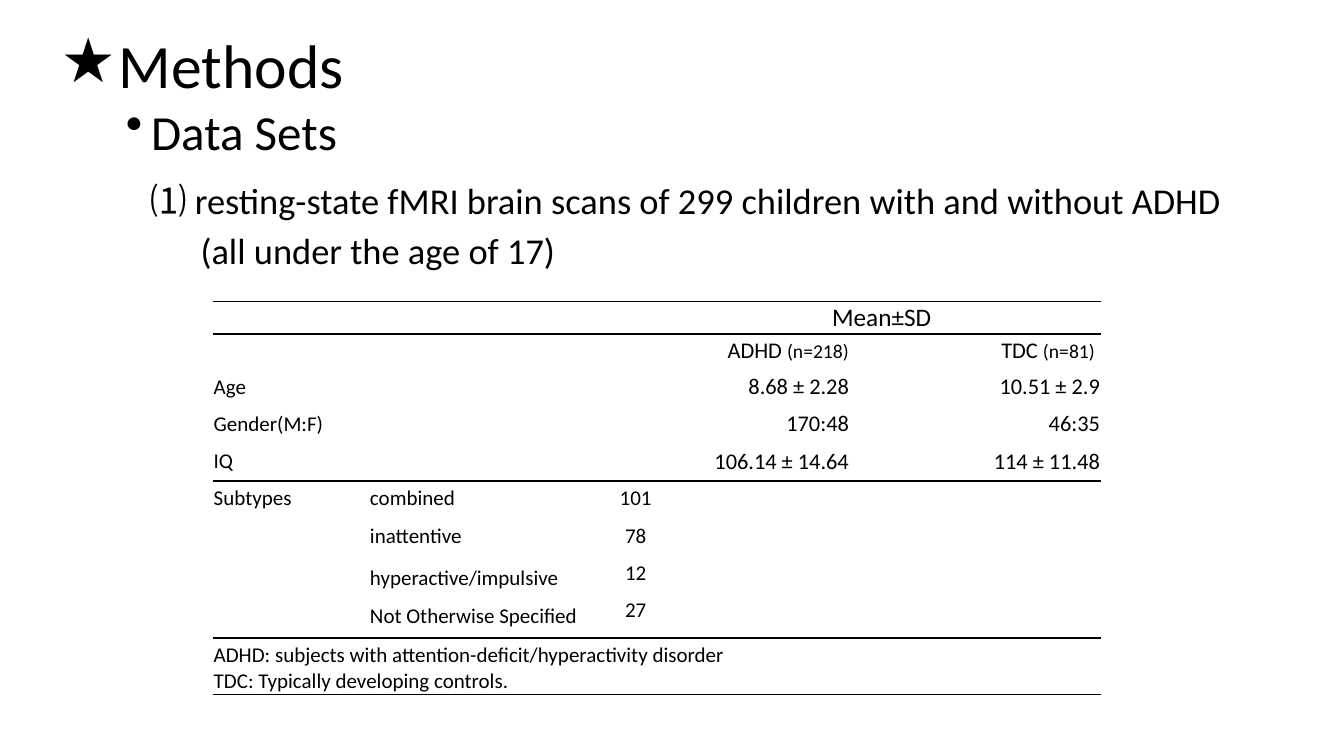
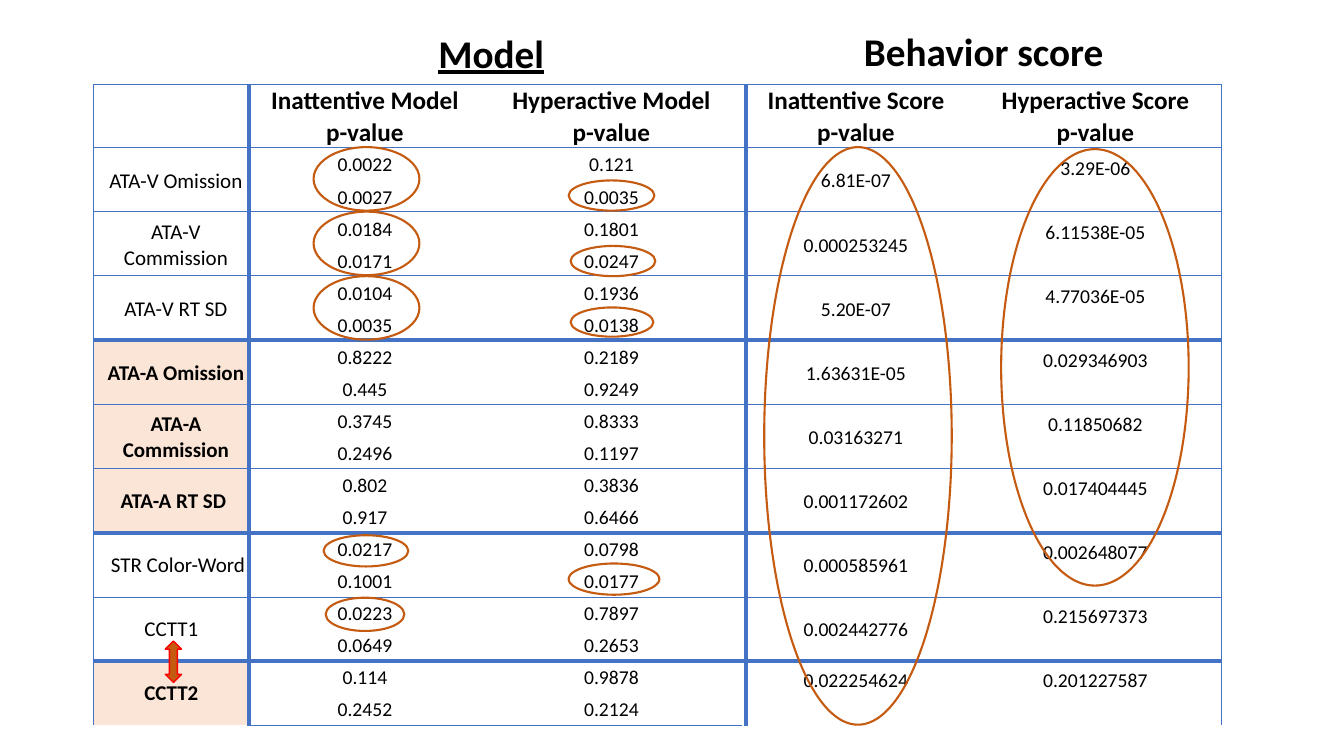
"""Build two slides: study data sets and a table of model p-values."""
from dataclasses import dataclass

from lxml import etree
from pptx import Presentation
from pptx.dml.color import RGBColor
from pptx.enum.shapes import MSO_CONNECTOR as CONN, MSO_SHAPE as SHAPE
from pptx.enum.text import MSO_ANCHOR as ANCHOR, PP_ALIGN as ALIGN
from pptx.oxml.ns import qn
from pptx.util import Inches, Pt


@dataclass(frozen=True)
class Theme:
    font: str = "Calibri"
    symbol_font: str = "Noto Sans CJK KR"
    ink: str = "000000"
    grid: str = "4472C4"
    ring: str = "C55A11"
    arrow_edge: str = "FF0000"
    tint: str = "FBE5D6"
    title: int = 44
    star: int = 36
    topic: int = 35
    heading: int = 28
    body: int = 26
    head: int = 18
    value: int = 16
    label: int = 15
    small: int = 14


T = Theme()
L, C, R = ALIGN.LEFT, ALIGN.CENTER, ALIGN.RIGHT
NO_GRID = "{2D5ABB26-0587-4C30-8999-92F81FD0307C}"

SCAN_TEXT = "resting-state fMRI brain scans of 299 children with and without ADHD"
SCAN_NOTE = "(all under the age of 17)"
SAMPLE_LEFT, SAMPLE_TOP = 2.11, 2.99
SAMPLE_COLS = [1.55, 2.42, 2.35, 2.49]
SAMPLE_ROWS = [0.32, 0.34] + [0.37] * 7 + [0.65]
SAMPLE_RULES = [3.31, 4.77, 6.33]
SAMPLE_MERGES = [(0, 0, 1, 1), (0, 2, 0, 3), (3, 0, 3, 1), (9, 0, 9, 3)]
GROUPS = [("ADHD ", "(n=218)", 0.01), ("TDC ", "(n=81)", 0.06)]
MEASURES = [
    ("Age", "8.68 ± 2.28", "10.51 ± 2.9"),
    ("Gender(M:F)", "170:48", "46:35"),
    ("IQ", "106.14 ± 14.64", "114 ± 11.48"),
]
SUBTYPES = [
    ("combined", "101", ANCHOR.MIDDLE),
    ("inattentive", "78", ANCHOR.MIDDLE),
    ("hyperactive/impulsive", "12", ANCHOR.BOTTOM),
    ("Not Otherwise Specified", "27", ANCHOR.BOTTOM),
]
FOOTNOTES = [
    "ADHD: subjects with attention-deficit/hyperactivity disorder",
    "TDC: Typically developing controls.",
]

SCORE_LEFT, SCORE_TOP, SCORE_HEIGHT = 0.93, 0.84, 6.36
SCORE_COLS = [1.54, 2.3, 2.59, 2.26, 2.49]
SCORE_HEADS = ["Inattentive Model", "Hyperactive Model", "Inattentive Score", "Hyperactive Score"]
SCORES = [
    ("ATA-V Omission", 0.1, False, ("0.0022", "0.0027"), ("0.121", "0.0035"), "6.81E-07", "3.29E-06"),
    ("ATA-V Commission", 0.1, False, ("0.0184", "0.0171"), ("0.1801", "0.0247"), "0.000253245", "6.11538E-05"),
    ("ATA-V RT SD", 0.1, False, ("0.0104", "0.0035"), ("0.1936", "0.0138"), "5.20E-07", "4.77036E-05"),
    ("ATA-A Omission", 0.1, True, ("0.8222", "0.445"), ("0.2189", "0.9249"), "1.63631E-05", "0.029346903"),
    ("ATA-A Commission", 0.1, True, ("0.3745", "0.2496"), ("0.8333", "0.1197"), "0.03163271", "0.11850682"),
    ("ATA-A RT SD", 0.05, True, ("0.802", "0.917"), ("0.3836", "0.6466"), "0.001172602", "0.017404445"),
    ("STR Color-Word", 0.14, False, ("0.0217", "0.1001"), ("0.0798", "0.0177"), "0.000585961", "0.002648077"),
    ("CCTT1", 0.01, False, ("0.0223", "0.0649"), ("0.7897", "0.2653"), "0.002442776", "0.215697373"),
    ("CCTT2", 0.01, True, ("0.114", "0.2452"), ("0.9878", "0.2124"), "0.022254624", "0.201227587"),
]
FIRST_RULE, LAST_RULE = 1.46, 6.56
THICK_RULES = {3, 6, 8}
COLUMN_RULES = [(2.47, 2.25), (7.4, 3)]
RINGS = [(3.11, 1.46 + 0.64 * i, 1.05, 0.63) for i in range(3)] + [
    (3.21, 5.31, 0.84, 0.31), (3.23, 5.93, 0.78, 0.33),
    (5.64, 1.79, 0.85, 0.3), (5.66, 2.44, 0.84, 0.3),
    (5.66, 3.05, 0.82, 0.29), (5.64, 5.59, 0.9, 0.31),
    (7.58, 1.46, 1.86, 5.73), (9.93, 1.48, 1.86, 4.33),
]


def rgb(color):
    return RGBColor.from_string(color)


def add_run(p, text, size, bold=False, symbol=False):
    r = p.add_run()
    r.text = text
    font = r.font
    font.size, font.bold = Pt(size), bold
    font.color.rgb = rgb(T.ink)
    font.name = T.symbol_font if symbol else T.font
    if symbol:
        etree.SubElement(r._r.get_or_add_rPr(), qn("a:ea"), typeface=T.symbol_font)
    return r


def add_box(slide, x, y, w, h):
    tf = slide.shapes.add_textbox(*map(Inches, (x, y, w, h))).text_frame
    tf.word_wrap = True
    return tf


def add_line(slide, x1, y1, x2, y2, color, width):
    line = slide.shapes.add_connector(CONN.STRAIGHT, *map(Inches, (x1, y1, x2, y2)))
    line.line.color.rgb, line.line.width = rgb(color), Pt(width)
    etree.SubElement(line._element.spPr, qn("a:effectLst"))


def add_outline(slide, kind, box, color, width, fill=None):
    sp = slide.shapes.add_shape(kind, *map(Inches, box))
    sp.shadow.inherit = False
    sp.line.color.rgb, sp.line.width = rgb(color), Pt(width)
    if fill:
        sp.fill.solid()
        sp.fill.fore_color.rgb = rgb(fill)
    else:
        sp.fill.background()


def add_grid(slide, x, y, cols, rows):
    frame = slide.shapes.add_table(
        len(rows), len(cols), *map(Inches, (x, y, sum(cols), sum(rows))))
    table = frame.table
    table.first_row = table.horz_banding = False
    table._tbl.tblPr.find(qn("a:tableStyleId")).text = NO_GRID
    for col, width in zip(table.columns, cols):
        col.width = Inches(width)
    for row, height in zip(table.rows, rows):
        row.height = Inches(height)
    for cell in table.iter_cells():
        cell.fill.background()
        cell.vertical_anchor = ANCHOR.MIDDLE
        cell.margin_left = cell.margin_right = cell.margin_top = Inches(0.01)
        cell.margin_bottom = 0
    return table


def add_border(cell, edges, color, width):
    tcPr = cell._tc.get_or_add_tcPr()
    for i, edge in enumerate(e for e in "LRTB" if e in edges):
        ln = etree.Element(qn(f"a:ln{edge}"), w=str(Pt(width)))
        fill = etree.SubElement(ln, qn("a:solidFill"))
        etree.SubElement(fill, qn("a:srgbClr"), val=color)
        tcPr.insert(i, ln)


def fill_cell(cell, text, size, align=L, bold=False):
    p = cell.text_frame.paragraphs[0]
    p.alignment = align
    add_run(p, text, size, bold)
    return p


def build_methods(slide):
    star = add_box(slide, 0.53, 0.05, 0.8, 1.15)
    star.vertical_anchor = ANCHOR.MIDDLE
    star.paragraphs[0].line_spacing = 0.9
    add_run(star.paragraphs[0], "★", T.star, symbol=True)
    add_run(add_box(slide, 1.08, 0.22, 2.67, 0.84).paragraphs[0], "Methods", T.title)

    body = add_box(slide, 1.15, 1.12, 11.21, 1.8)
    topic, scans, note = body.paragraphs[0], body.add_paragraph(), body.add_paragraph()
    layout = [(topic, 0.7, 8, 0.25, -0.25), (scans, 0.9, 17, 0.24, 0), (note, 0.9, 8, 0.74, 0)]
    for p, spacing, before, margin, indent in layout:
        p.line_spacing, p.space_before = spacing, Pt(before)
        pPr = p._p.get_or_add_pPr()
        pPr.set("marL", str(Inches(margin)))
        pPr.set("indent", str(Inches(indent)))
    etree.SubElement(topic._p.pPr, qn("a:buChar"), char="•")
    add_run(topic, "Data Sets", T.topic)
    add_run(scans, "⑴", T.body, symbol=True)
    add_run(scans, " " + SCAN_TEXT, T.body)
    add_run(note, SCAN_NOTE, T.body)

    table = add_grid(slide, SAMPLE_LEFT, SAMPLE_TOP, SAMPLE_COLS, SAMPLE_ROWS)
    for r1, c1, r2, c2 in SAMPLE_MERGES:
        table.cell(r1, c1).merge(table.cell(r2, c2))
    for c in range(len(SAMPLE_COLS)):
        add_border(table.cell(0, c), "T", T.ink, 1)
        add_border(table.cell(9, c), "B", T.ink, 1)
    mean = table.cell(0, 2)
    fill_cell(mean, "Mean±SD", T.head, C)
    mean.margin_left = Inches(0.5)
    for c, (group, count, margin) in enumerate(GROUPS, 2):
        cell = table.cell(1, c)
        add_run(fill_cell(cell, group, T.value, R), count, T.small)
        cell.margin_right = Inches(margin)
    for r, (measure, *values) in enumerate(MEASURES, 2):
        fill_cell(table.cell(r, 0), measure, T.label)
        for c, value in enumerate(values, 2):
            fill_cell(table.cell(r, c), value, T.value, R)
    fill_cell(table.cell(5, 0), "Subtypes", T.label)
    for r, (subtype, count, anchor) in enumerate(SUBTYPES, 5):
        fill_cell(table.cell(r, 1), subtype, T.label)
        table.cell(r, 1).vertical_anchor = anchor
        fill_cell(table.cell(r, 2), count, T.label, C)
        table.cell(r, 2).margin_right = Inches(1.91)
    notes = table.cell(9, 0)
    notes.vertical_anchor = ANCHOR.BOTTOM
    fill_cell(notes, FOOTNOTES[0], T.label)
    add_run(notes.text_frame.add_paragraph(), FOOTNOTES[1], T.label)
    for y in SAMPLE_RULES:
        add_line(slide, SAMPLE_LEFT, y, SAMPLE_LEFT + sum(SAMPLE_COLS), y, T.ink, 1.5)


def build_scores(slide):
    n_rows = 2 + 2 * len(SCORES)
    table = add_grid(slide, SCORE_LEFT, SCORE_TOP, SCORE_COLS, [SCORE_HEIGHT / n_rows] * n_rows)
    last_col = len(SCORE_COLS) - 1
    for c, head in enumerate(SCORE_HEADS, 1):
        fill_cell(table.cell(0, c), head, T.head, C, True)
        fill_cell(table.cell(1, c), "p-value", T.head, C, True)
    for i, (name, pad, tinted, *models, score1, score2) in enumerate(SCORES):
        top = 2 + 2 * i
        for c in (0, 3, 4):
            table.cell(top, c).merge(table.cell(top + 1, c))
        label = table.cell(top, 0)
        fill_cell(label, name, T.label, C, tinted)
        label.margin_left = Inches(pad)
        if tinted:
            for r in (top, top + 1):
                table.cell(r, 0).fill.solid()
                table.cell(r, 0).fill.fore_color.rgb = rgb(T.tint)
        for c, pair in enumerate(models, 1):
            for r, value in enumerate(pair, top):
                fill_cell(table.cell(r, c), value, T.small, C)
        for c, score in enumerate((score1, score2), 3):
            cell = table.cell(top, c)
            fill_cell(cell, score, T.small, C)
            if c == last_col or i == len(SCORES) - 1:
                cell.vertical_anchor = ANCHOR.TOP
                cell.margin_top = Inches(0.08)
    for r in range(n_rows):
        for c in range(last_col + 1):
            sides = [("L", c == 0), ("R", c == last_col), ("T", r == 0), ("B", r == n_rows - 1)]
            add_border(table.cell(r, c), [s for s, on in sides if on], T.grid, 0.5)

    right = SCORE_LEFT + sum(SCORE_COLS)
    step = (LAST_RULE - FIRST_RULE) / (len(SCORES) - 1)
    for i in range(len(SCORES)):
        y = FIRST_RULE + i * step
        add_line(slide, SCORE_LEFT, y, right, y, T.grid, 3 if i in THICK_RULES else 0.5)
    for x, width in COLUMN_RULES:
        add_line(slide, x, SCORE_TOP, x, SCORE_TOP + SCORE_HEIGHT, T.grid, width)
    for box in RINGS:
        add_outline(slide, SHAPE.OVAL, box, T.ring, 1.5)
    add_outline(slide, SHAPE.UP_DOWN_ARROW, (1.64, 6.36, 0.16, 0.41), T.arrow_edge, 1, T.ring)
    model = add_box(slide, 4.25, 0.24, 1.83, 0.57).paragraphs[0]
    add_run(model, "Model", T.heading, True).font.underline = True
    behavior = add_box(slide, 8.47, 0.22, 3.32, 0.57).paragraphs[0]
    add_run(behavior, "Behavior score", T.heading, True)


def main():
    prs = Presentation()
    prs.slide_width, prs.slide_height = Inches(13.33), Inches(7.5)
    for build in (build_methods, build_scores):
        build(prs.slides.add_slide(prs.slide_layouts[6]))
    prs.save("out.pptx")


if __name__ == "__main__":
    main()
